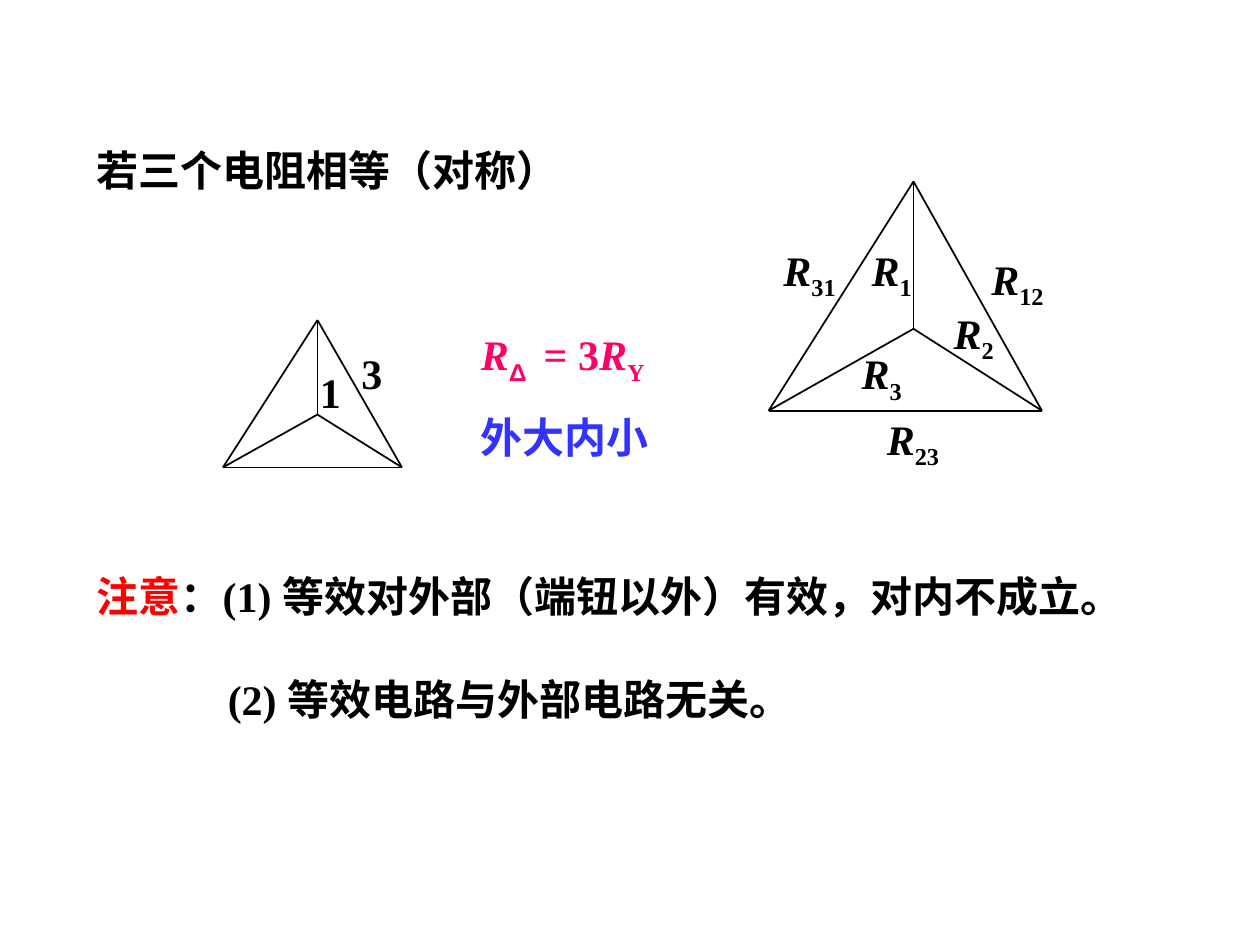
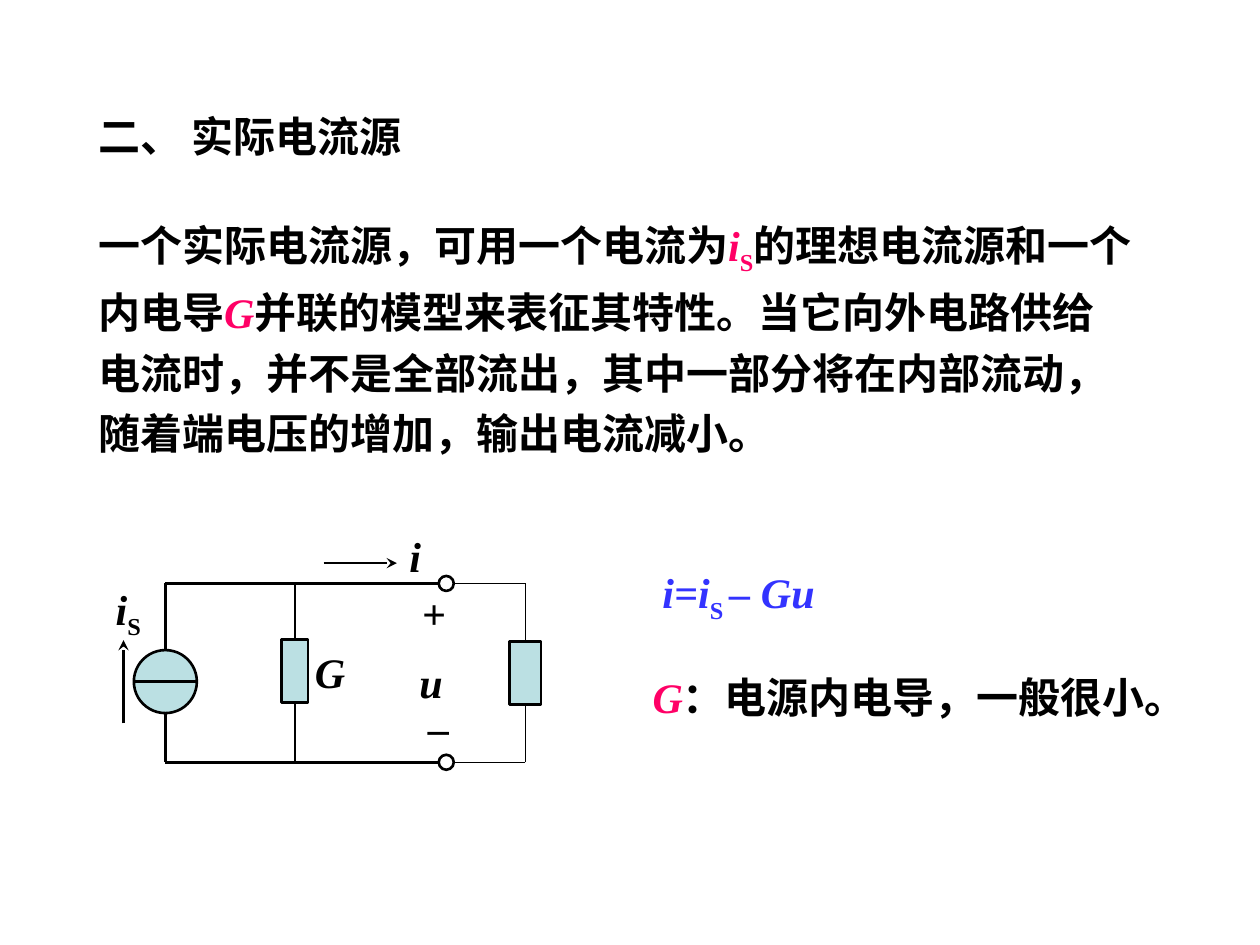
from itertools import combinations

from lxml.etree import SubElement
from pptx import Presentation
from pptx.dml.color import RGBColor
from pptx.enum.shapes import MSO_CONNECTOR, MSO_SHAPE
from pptx.enum.text import MSO_ANCHOR, MSO_AUTO_SIZE, PP_ALIGN
from pptx.oxml.ns import qn
from pptx.util import Pt

BLACK = RGBColor(0, 0, 0)
PINK = RGBColor(0xFF, 0x00, 0x66)
BLUE = RGBColor(0x33, 0x33, 0xFF)
RED = RGBColor(0xFF, 0x00, 0x00)
PALE = RGBColor(0xBB, 0xE0, 0xE3)
SERIF, SANS = "Times New Roman", "Arial"


def put(frame, parts, color=BLACK, wrap=True):
    """Fill a frame; a part is text, or (text, marks, color).

    Marks: i italic, s subscript, a sans font.
    """
    frame.word_wrap = wrap
    frame.auto_size = MSO_AUTO_SIZE.NONE
    frame.vertical_anchor = MSO_ANCHOR.TOP
    para = frame.paragraphs[0]
    para.alignment = PP_ALIGN.LEFT
    font = para.font
    font.name, font.size, font.bold = SERIF, Pt(24), True
    font.color.rgb = color
    for part in parts:
        text, marks, tint = part if isinstance(part, tuple) else (part, "", None)
        run = para.add_run()
        run.text = text
        if "i" in marks:
            run.font.italic = True
        if "a" in marks:
            run.font.name = SANS
        if "s" in marks:
            run._r.get_or_add_rPr().set("baseline", "-25000")
        if tint is not None:
            run.font.color.rgb = tint
    return para


def head(slide, left, top, width, text):
    title = slide.shapes.title
    title.left, title.top = Pt(left), Pt(top)
    title.width, title.height = Pt(width), Pt(36)
    put(title.text_frame, [text])


def label(slide, left, top, width, parts, color=BLACK, wrap=True, height=36):
    box = slide.shapes.add_textbox(Pt(left), Pt(top), Pt(width), Pt(height))
    return put(box.text_frame, parts, color, wrap)


def symbol(slide, left, top, name, sub="", width=36):
    """Italic quantity name with an upright subscript."""
    parts = [(name, "i", None)]
    if sub:
        parts.append((sub, "s", None))
    label(slide, left, top, width, parts, wrap=False)


def wire(slide, start, end, weight=1.5, arrow=False):
    line = slide.shapes.add_connector(
        MSO_CONNECTOR.STRAIGHT, *(Pt(v) for v in (*start, *end)))
    line.line.color.rgb = BLACK
    line.line.width = Pt(weight)
    if arrow:
        SubElement(line.line._get_or_add_ln(), qn("a:tailEnd"), type="stealth")
    SubElement(line._element.spPr, qn("a:effectLst"))


def part(slide, kind, x, y, width, height, fill=PALE):
    """Circuit part centred on x, y."""
    shape = slide.shapes.add_shape(
        kind, Pt(x - width / 2), Pt(y - height / 2), Pt(width), Pt(height))
    shape.shadow.inherit = False
    if fill is None:
        shape.fill.background()
    else:
        shape.fill.solid()
        shape.fill.fore_color.rgb = fill
    shape.line.color.rgb = BLACK
    shape.line.width = Pt(1.5)


def delta(slide, left, mid, right, top, hub, base):
    """Triangle with a star inside: every pair of nodes is joined."""
    nodes = [(mid, top), (mid, hub), (left, base), (right, base)]
    for start, end in combinations(nodes, 2):
        wire(slide, start, end, 1)


def equal(slide):
    head(slide, 48.2, 79.2, 325, "若三个电阻相等（对称）")

    # Formula and rule of thumb
    label(slide, 267.8, 184.3, 149, [
        ("R", "i", None), ("Δ ", "sa", None), " = 3",
        ("R", "i", None), ("Y", "s", None)], PINK, height=40.3)
    label(slide, 267.8, 231.8, 149, ["外大内小"], BLUE)

    # Small network with its ratio
    delta(slide, 127.4, 181.4, 229.7, 182.9, 236.9, 267.1)
    label(slide, 175.7, 205.9, 26.4, ["1"], wrap=False)
    label(slide, 199.4, 195.1, 26.4, ["3"], wrap=False)

    # Large network with its resistors
    delta(slide, 439.2, 522, 595.4, 103.7, 187.9, 234.7)
    for left, top, sub in [
            (559.4, 141.1, "12"), (499.7, 232.6, "23"), (440.6, 136.1, "31"),
            (537.8, 172.1, "2"), (485.3, 195.1, "3"), (491, 136.1, "1")]:
        symbol(slide, left, top, "R", sub, 32 + 6 * len(sub))

    # Notes
    label(slide, 48.2, 322.6, 646.6, [
        ("注意", "a", RED), ("：", "a", None),
        "(1) 等效对外部（端钮以外）有效，对内不成立。"])
    label(slide, 123.1, 381.6, 390, ["(2) 等效电路与外部电路无关。"])


def source(slide):
    head(slide, 49, 59.8, 200, "二、 实际电流源")

    # Description
    para = label(slide, 49, 115.2, 606.2, [
        "一个实际电流源，可用一个电流为", ("i", "i", PINK), ("S", "s", PINK),
        "的理想电流源和一个内电导", ("G", "i", PINK),
        "并联的模型来表征其特性。当它向外电路供给电流时，并不是全部流出，"
        "其中一部分将在内部流动，随着端电压的增加，输出电流减小。"], height=150.5)
    para.line_spacing = 1.2

    # Equation and its meaning
    label(slide, 371.5, 320.4, 136, [
        ("i=i", "i", None), ("S ", "s", None), ("– Gu", "i", None)],
        BLUE, height=40.3)
    label(slide, 365.8, 380.2, 334.8, [
        ("G", "i", PINK), "：电源内电导，一般很小。"])

    # Rails, terminals and load wires
    top, base = 333.4, 435.6
    feed, shunt, port, load = 94.5, 168.5, 255, 300.2
    for y in (top, base):
        wire(slide, (feed, y), (port - 4, y))
        wire(slide, (load, y), (port + 4, y), 0.75)
        part(slide, MSO_SHAPE.OVAL, port, y, 8.6, 8.6, None)
    for x, weight in ((feed, 1.5), (shunt, 1.5), (load, 0.75)):
        wire(slide, (x, top), (x, base), weight)

    # Source, conductance and load
    part(slide, MSO_SHAPE.OVAL, feed, 389.5, 36, 36)
    wire(slide, (feed - 18, 389.5), (feed + 18, 389.5))
    part(slide, MSO_SHAPE.RECTANGLE, shunt, 383.5, 15.1, 36)
    part(slide, MSO_SHAPE.RECTANGLE, load, 384.5, 18, 36)

    # Current arrows
    wire(slide, (185, 321.8), (226.8, 321.8), arrow=True)
    wire(slide, (70.6, 413.3), (70.6, 365.8), arrow=True)

    # Quantities
    for left, top, name, sub, width in [
            (226.8, 299.5, "i", "", 21), (172.8, 365.8, "G", "", 32),
            (234, 331.9, "+", "", 31), (232.6, 371.5, "u", "", 27),
            (239, 389.5, "_", "", 27), (59, 329.8, "i", "S", 29)]:
        symbol(slide, left, top, name, sub, width)


def main():
    deck = Presentation()
    deck.slide_width, deck.slide_height = Pt(720), Pt(540)
    for build in (equal, source):
        build(deck.slides.add_slide(deck.slide_layouts[5]))
    deck.save("out.pptx")


if __name__ == "__main__":
    main()
